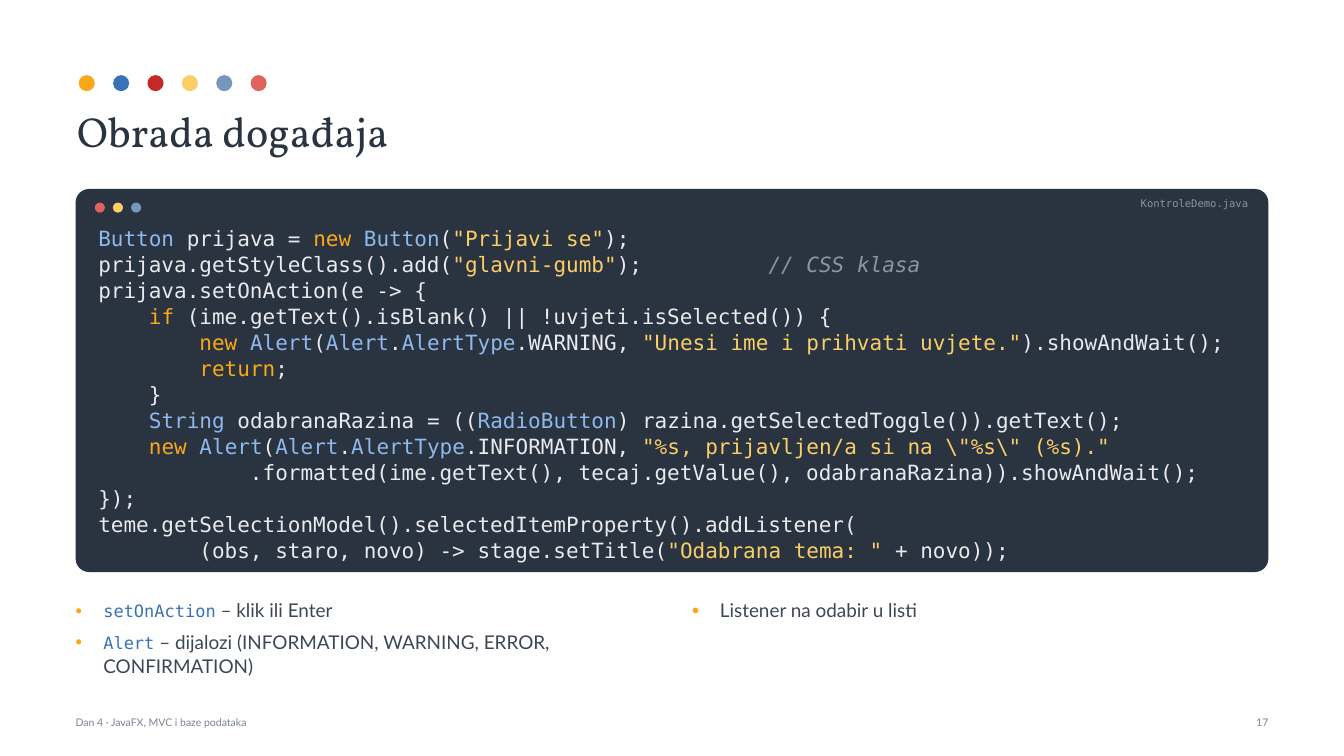
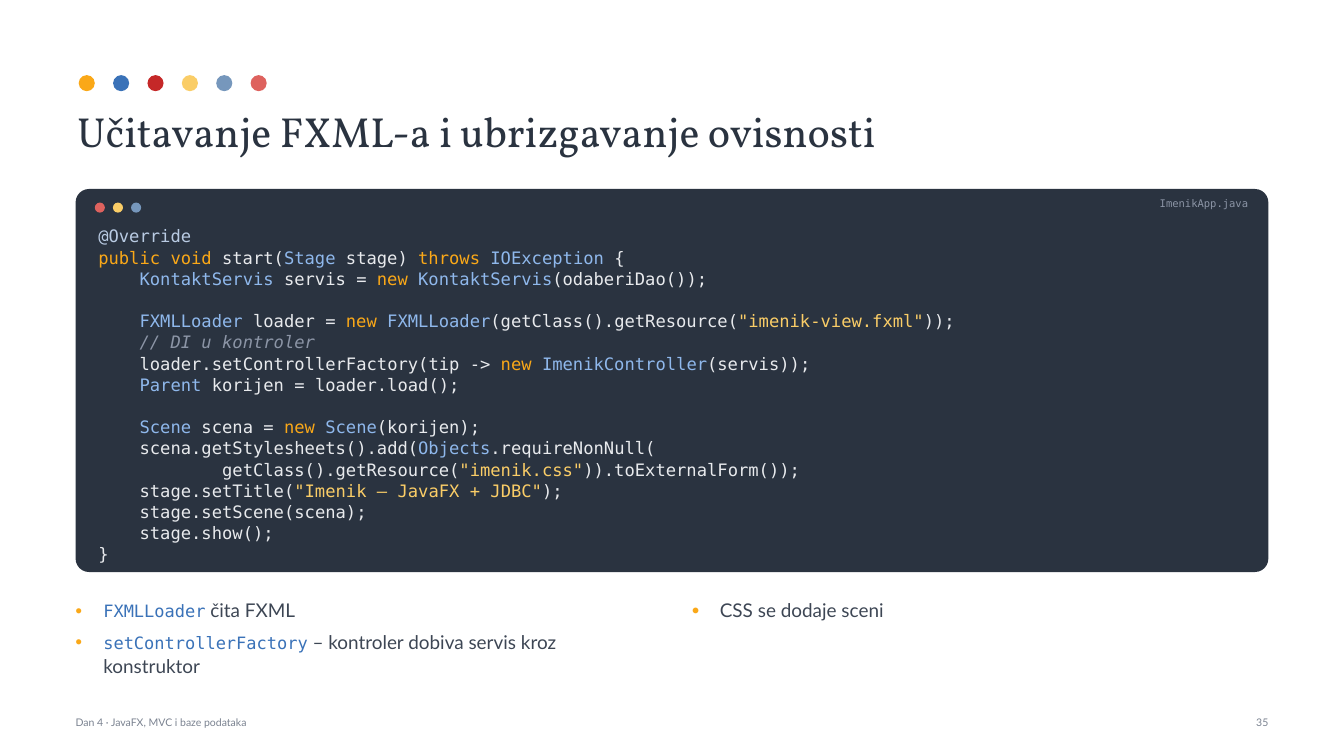
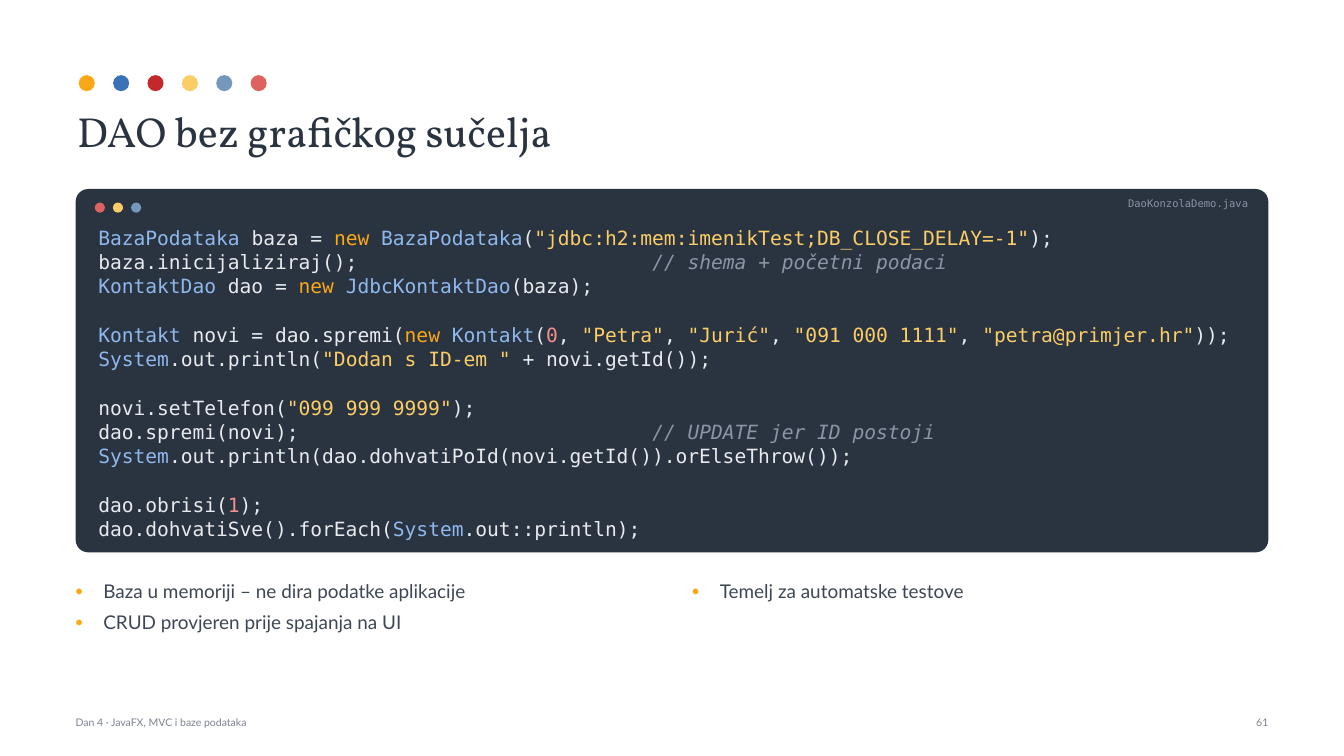
from dataclasses import dataclass
from itertools import groupby

from lxml import etree
from pptx import Presentation
from pptx.dml.color import RGBColor
from pptx.enum.shapes import MSO_SHAPE
from pptx.enum.text import MSO_ANCHOR, MSO_AUTO_SIZE, PP_ALIGN
from pptx.oxml.ns import qn
from pptx.util import Pt

OVAL, ROUNDED = MSO_SHAPE.OVAL, MSO_SHAPE.ROUNDED_RECTANGLE
LEFT, RIGHT = PP_ALIGN.LEFT, PP_ALIGN.RIGHT
TOP = MSO_ANCHOR.TOP
GROW = MSO_AUTO_SIZE.SHAPE_TO_FIT_TEXT


@dataclass(frozen=True)
class Theme:
    orange: str = "FAA818"
    blue: str = "3A72B8"
    red: str = "C52828"
    yellow: str = "FACD67"
    steel: str = "7697BC"
    coral: str = "DE625E"
    navy: str = "2A3340"
    body: str = "3D4654"
    footer: str = "7A8290"
    code_plain: str = "E8EAED"
    code_type: str = "8FB8EC"
    code_number: str = "F2908C"
    code_annotation: str = "B9CBE3"
    code_comment: str = "8C95A6"
    serif: str = "Vollkorn"
    sans: str = "Lato"
    mono: str = "DejaVu Sans Mono"
    title_size: float = 60
    list_size: float = 27
    inline_code_size: float = 24.3
    small_size: float = 15


THEME = Theme()

# Page grid, in points
PAGE_WIDTH, PAGE_HEIGHT = 1919.52, 1080
MARGIN = 108
CONTENT_WIDTH = 1703.52
RIGHT_EDGE = MARGIN + CONTENT_WIDTH
PANEL_TOP = 270
COLUMN_WIDTH, COLUMN_GAP = 823, 57.5
LIST_GAP, LIST_BOTTOM = 36, 986.4
FOOTER_TOP, LABEL_HEIGHT = 1022.4, 32.4
BULLET_INDENT = 39.6

FOOTER_TEXT = "Dan 4 · JavaFX, MVC i baze podataka"
KEYWORDS = {"new", "if", "return", "public", "void", "throws"}


# Text
def add_run(paragraph, text, font, size, color, italic=None):
    run = paragraph.add_run()
    run.text = text
    run.font.name = font
    run.font.size = Pt(size)
    run.font.italic = italic
    run.font.color.rgb = RGBColor.from_string(color)


def place(shape, left, top, width, height):
    shape.left, shape.top = Pt(left), Pt(top)
    shape.width, shape.height = Pt(width), Pt(height)


def prepare_frame(shape, inset=0):
    frame = shape.text_frame
    frame.word_wrap = True
    frame.auto_size = GROW
    frame.vertical_anchor = TOP
    frame.margin_left = frame.margin_right = Pt(inset)
    frame.margin_top = frame.margin_bottom = Pt(inset)
    return frame


def add_text_frame(slide, left, top, width, height):
    box = slide.shapes.add_textbox(Pt(left), Pt(top), Pt(width), Pt(height))
    return prepare_frame(box)


def add_label(slide, text, left, top, width, font, color, alignment=LEFT):
    frame = add_text_frame(slide, left, top, width, LABEL_HEIGHT)
    paragraph = frame.paragraphs[0]
    paragraph.alignment = alignment
    add_run(paragraph, text, font, THEME.small_size, color)


def fill_title(slide, text):
    title = slide.shapes.title
    place(title, 103, 144, 1713.6, 86.4)
    paragraph = prepare_frame(title, 7.2).paragraphs[0]
    paragraph.alignment = LEFT
    add_run(paragraph, text, THEME.serif, THEME.title_size, THEME.navy)


# Shapes
def add_filled_shape(shapes, kind, left, top, width, height, color):
    shape = shapes.add_shape(kind, Pt(left), Pt(top), Pt(width), Pt(height))
    shape.shadow.inherit = False
    shape.fill.solid()
    shape.fill.fore_color.rgb = RGBColor.from_string(color)
    shape.line.fill.background()
    return shape


def add_dots(shapes, left, top, size, pitch, colors):
    for index, color in enumerate(colors):
        add_filled_shape(shapes, OVAL, left + index * pitch, top, size, size, color)


# Code
def token_end(line, start):
    """Return where the token that begins at start ends."""
    first, end = line[start], start + 1
    if line.startswith("//", start):
        return len(line)
    if first == '"':
        while line[end] != '"':
            end += 2 if line[end] == "\\" else 1
        return end + 1
    if first.isalnum() or first == "@":
        while end < len(line) and line[end].isalnum():
            end += 1
    return end


def token_color(token):
    if token.startswith("//"):
        return THEME.code_comment
    if token[0] == '"':
        return THEME.yellow
    if token[0] == "@":
        return THEME.code_annotation
    if token.isdigit():
        return THEME.code_number
    if token in KEYWORDS:
        return THEME.orange
    if token[0].isupper() and not token.isupper():
        return THEME.code_type
    return THEME.code_plain


def highlight(line):
    """Yield (text, color) runs; a space takes the color of the token before it."""
    tokens, position, color = [], 0, THEME.code_plain
    while position < len(line):
        end = token_end(line, position)
        token = line[position:end]
        if token != " ":
            color = token_color(token)
        tokens.append((token, color))
        position = end
    for color, group in groupby(tokens, key=lambda item: item[1]):
        yield "".join(token for token, _ in group), color


def add_code_panel(slide, file_name, code, size, height):
    panel = add_filled_shape(slide.shapes, ROUNDED, MARGIN, PANEL_TOP,
                             CONTENT_WIDTH, height, THEME.navy)
    panel.adjustments[0] = 0.035
    add_dots(slide.shapes, 135.4, 289.4, 14.4, 25.9,
             (THEME.coral, THEME.yellow, THEME.steel))
    add_label(slide, file_name, 252, 280.8, 1530.72, THEME.mono,
              THEME.code_comment, RIGHT)
    frame = add_text_frame(slide, 140.4, 321.8, 1660.3, height - 55.4)
    for index, line in enumerate(code.strip("\n").split("\n")):
        paragraph = frame.add_paragraph() if index else frame.paragraphs[0]
        paragraph.line_spacing = 1.03
        for text, color in highlight(line or " "):
            add_run(paragraph, text, THEME.mono, size, color,
                    color == THEME.code_comment)


# Lists
def set_bullet(paragraph):
    properties = paragraph._p.get_or_add_pPr()
    properties.set("marL", str(Pt(BULLET_INDENT)))
    properties.set("indent", str(-Pt(BULLET_INDENT)))
    color = etree.SubElement(properties, qn("a:buClr"))
    etree.SubElement(color, qn("a:srgbClr"), val=THEME.orange)
    etree.SubElement(properties, qn("a:buSzPct"), val="62000")
    etree.SubElement(properties, qn("a:buFont"), typeface=THEME.sans)
    etree.SubElement(properties, qn("a:buChar"), char="●")


def fill_list(placeholder, items, left, top):
    """Fill a list placeholder; words between backticks are set as code."""
    place(placeholder, left, top, COLUMN_WIDTH, LIST_BOTTOM - top)
    frame = prepare_frame(placeholder)
    for index, item in enumerate(items):
        paragraph = frame.add_paragraph() if index else frame.paragraphs[0]
        set_bullet(paragraph)
        paragraph.line_spacing = 1.08
        paragraph.space_before, paragraph.space_after = Pt(0), Pt(10)
        for part, text in enumerate(item.split("`")):
            if not text:
                continue
            if part % 2:
                add_run(paragraph, text, THEME.mono, THEME.inline_code_size, THEME.blue)
            else:
                add_run(paragraph, text, THEME.sans, THEME.list_size, THEME.body)


# Slide
def add_code_slide(presentation, title, file_name, code, code_size, panel_height,
                   left_items, right_items, page):
    slide = presentation.slides.add_slide(presentation.slide_layouts[3])
    slide.background.fill.solid()
    slide.background.fill.fore_color.rgb = RGBColor.from_string("FFFFFF")
    add_dots(slide.shapes.add_group_shape().shapes, 112.4, 107.3, 23, 49.1,
             (THEME.orange, THEME.blue, THEME.red,
              THEME.yellow, THEME.steel, THEME.coral))
    fill_title(slide, title)
    add_code_panel(slide, file_name, code, code_size, panel_height)
    list_top = PANEL_TOP + panel_height + LIST_GAP
    for column, items in enumerate((left_items, right_items)):
        fill_list(slide.placeholders[column + 1], items,
                  MARGIN + column * (COLUMN_WIDTH + COLUMN_GAP), list_top)
    add_label(slide, FOOTER_TEXT, MARGIN, FOOTER_TOP, 1152, THEME.sans, THEME.footer)
    add_label(slide, str(page), RIGHT_EDGE - 180, FOOTER_TOP, 180, THEME.sans,
              THEME.footer, RIGHT)


# Code listings
EVENTS_CODE = r'''
Button prijava = new Button("Prijavi se");
prijava.getStyleClass().add("glavni-gumb");          // CSS klasa
prijava.setOnAction(e -> {
    if (ime.getText().isBlank() || !uvjeti.isSelected()) {
        new Alert(Alert.AlertType.WARNING, "Unesi ime i prihvati uvjete.").showAndWait();
        return;
    }
    String odabranaRazina = ((RadioButton) razina.getSelectedToggle()).getText();
    new Alert(Alert.AlertType.INFORMATION, "%s, prijavljen/a si na \"%s\" (%s)."
            .formatted(ime.getText(), tecaj.getValue(), odabranaRazina)).showAndWait();
});
teme.getSelectionModel().selectedItemProperty().addListener(
        (obs, staro, novo) -> stage.setTitle("Odabrana tema: " + novo));
'''

LOADER_CODE = r'''
@Override
public void start(Stage stage) throws IOException {
    KontaktServis servis = new KontaktServis(odaberiDao());

    FXMLLoader loader = new FXMLLoader(getClass().getResource("imenik-view.fxml"));
    // DI u kontroler
    loader.setControllerFactory(tip -> new ImenikController(servis));
    Parent korijen = loader.load();

    Scene scena = new Scene(korijen);
    scena.getStylesheets().add(Objects.requireNonNull(
            getClass().getResource("imenik.css")).toExternalForm());
    stage.setTitle("Imenik – JavaFX + JDBC");
    stage.setScene(scena);
    stage.show();
}
'''

DAO_CODE = r'''
BazaPodataka baza = new BazaPodataka("jdbc:h2:mem:imenikTest;DB_CLOSE_DELAY=-1");
baza.inicijaliziraj();                         // shema + početni podaci
KontaktDao dao = new JdbcKontaktDao(baza);

Kontakt novi = dao.spremi(new Kontakt(0, "Petra", "Jurić", "091 000 1111", "petra@primjer.hr"));
System.out.println("Dodan s ID-em " + novi.getId());

novi.setTelefon("099 999 9999");
dao.spremi(novi);                              // UPDATE jer ID postoji
System.out.println(dao.dohvatiPoId(novi.getId()).orElseThrow());

dao.obrisi(1);
dao.dohvatiSve().forEach(System.out::println);
'''


def main():
    presentation = Presentation()
    presentation.slide_width, presentation.slide_height = Pt(PAGE_WIDTH), Pt(PAGE_HEIGHT)

    add_code_slide(
        presentation, "Obrada događaja", "KontroleDemo.java", EVENTS_CODE, 30, 547.2,
        ["`setOnAction` – klik ili Enter",
         "`Alert` – dijalozi (INFORMATION, WARNING, ERROR, CONFIRMATION)"],
        ["Listener na odabir u listi"], 17)
    add_code_slide(
        presentation, "Učitavanje FXML-a i ubrizgavanje ovisnosti", "ImenikApp.java",
        LOADER_CODE, 24.5, 547.2,
        ["`FXMLLoader` čita FXML",
         "`setControllerFactory` – kontroler dobiva servis kroz konstruktor"],
        ["CSS se dodaje sceni"], 35)
    add_code_slide(
        presentation, "DAO bez grafičkog sučelja", "DaoKonzolaDemo.java", DAO_CODE, 28, 519.1,
        ["Baza u memoriji – ne dira podatke aplikacije",
         "CRUD provjeren prije spajanja na UI"],
        ["Temelj za automatske testove"], 61)

    presentation.save("out.pptx")


if __name__ == "__main__":
    main()
